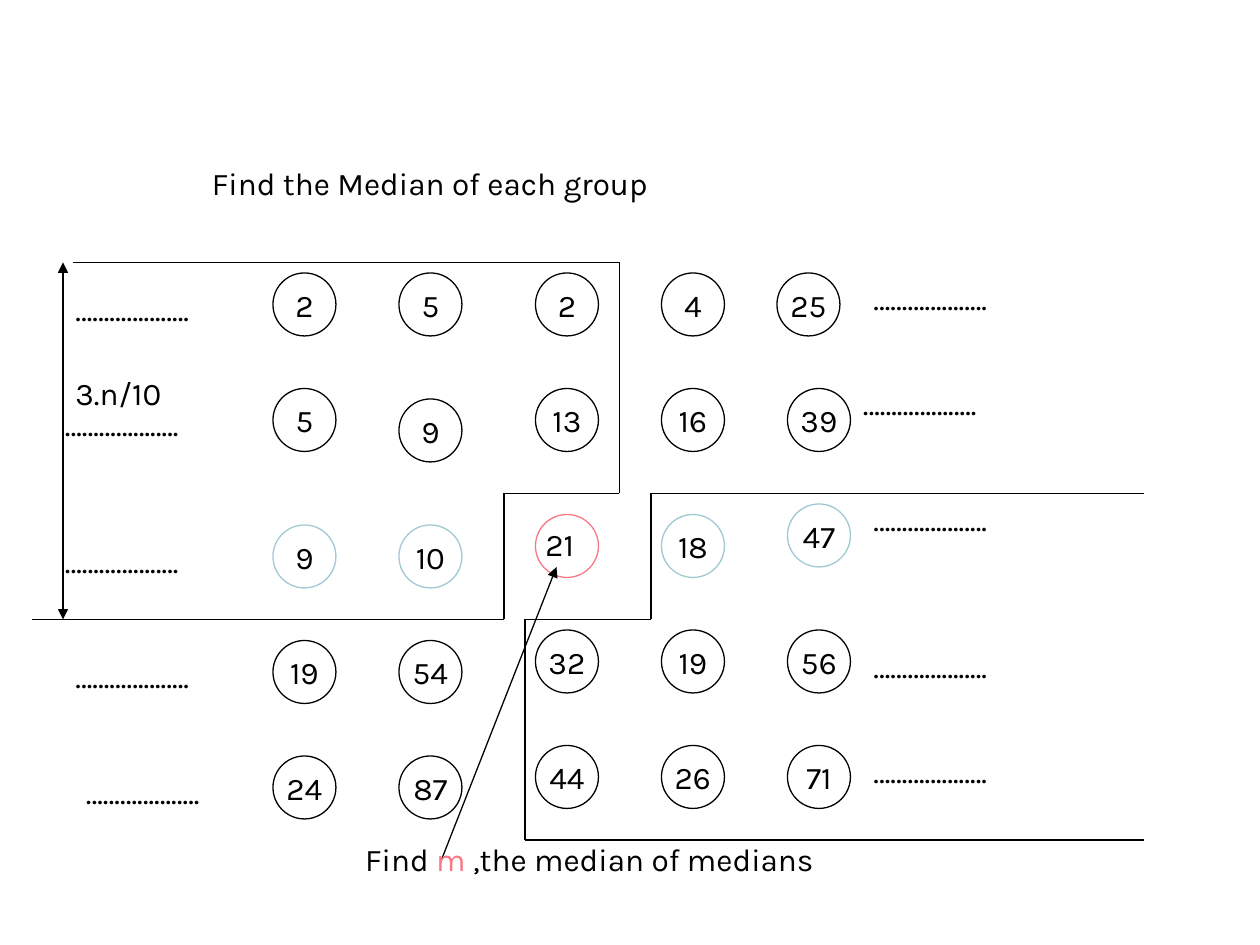
from itertools import pairwise

from lxml.etree import SubElement
from pptx import Presentation
from pptx.dml.color import RGBColor
from pptx.enum.shapes import MSO_CONNECTOR, MSO_SHAPE
from pptx.enum.text import MSO_ANCHOR as Anchor, MSO_AUTO_SIZE as AutoSize, PP_ALIGN as Align
from pptx.oxml.ns import qn
from pptx.util import Pt

BLACK = RGBColor(0x00, 0x00, 0x00)
WHITE = RGBColor(0xFF, 0xFF, 0xFF)
MEDIAN_BLUE = RGBColor(0x9F, 0xCA, 0xD3)
MEDIAN_PINK = RGBColor(0xFA, 0x78, 0x84)
FONT = "Karla"
TEXT_SIZE = 18
LINE_WIDTH = 0.75
CIRCLE_SIZE = 36
TEXT_HEIGHT = 28.8
ELLIPSIS = "………………..", 114

MEDIAN_ROW = 2
# Each group: left edge, tops and values, relative to the grid of groups.
GROUPS = [
    (0, (0, 66, 144, 210, 276), ("2", "5", "9", "19", "24")),
    (72, (0, 72, 144, 210, 276), ("5", "9", "10", "54", "87")),
    (150, (0, 66, 138, 204, 270), ("2", "13", "", "32", "44")),
    (222, (0, 66, 138, 204, 270), ("4", "16", "18", "19", "26")),
    (294, (0, 66, 132, 204, 270), ("25", "39", "47", "56", "71")),
]
FIRST_OF_LAST_GROUP_SHIFT = -6

LEFT_ELLIPSES = [(6, 0), (0, 66), (0, 144), (6, 210), (12, 276)]
RIGHT_ELLIPSES = [(6, 0), (0, 60), (6, 126), (6, 210), (6, 270)]
SMALLER_OUTLINE = [(0, 204), (270, 204), (270, 132), (336, 132), (336, 0), (24, 0)]
LARGER_OUTLINE = [(354, 198), (0, 198), (0, 72), (72, 72), (72, 0), (354, 0)]


def style_font(font, color=BLACK):
    font.name = FONT
    font.size = Pt(TEXT_SIZE)
    font.color.rgb = color


def add_text(slide, left, top, width, *runs, wrap=True):
    """Add one line of text; each run is a (text, color) pair."""
    box = slide.shapes.add_textbox(Pt(left), Pt(top), Pt(width), Pt(TEXT_HEIGHT))
    frame = box.text_frame
    frame.word_wrap = wrap
    frame.auto_size = AutoSize.SHAPE_TO_FIT_TEXT
    paragraph = frame.paragraphs[0]
    style_font(paragraph.font)
    for text, color in runs:
        run = paragraph.add_run()
        run.text = text
        style_font(run.font, color)


def add_circle(slide, left, top, value, line_color):
    circle = slide.shapes.add_shape(
        MSO_SHAPE.OVAL, Pt(left), Pt(top), Pt(CIRCLE_SIZE), Pt(CIRCLE_SIZE))
    circle.shadow.inherit = False
    circle.fill.solid()
    circle.fill.fore_color.rgb = WHITE
    circle.line.color.rgb = line_color
    circle.line.width = Pt(LINE_WIDTH)
    if value:
        frame = circle.text_frame
        frame.word_wrap = False
        frame.vertical_anchor = Anchor.MIDDLE
        paragraph = frame.paragraphs[0]
        paragraph.text = value
        paragraph.alignment = Align.CENTER
        style_font(paragraph.font)


def add_line(slide, start, end, arrowheads=()):
    """Add a straight line; arrowheads lists headEnd (start) and tailEnd (end)."""
    line = slide.shapes.add_connector(
        MSO_CONNECTOR.STRAIGHT, *(Pt(value) for value in (*start, *end)))
    line.line.color.rgb = BLACK
    line.line.width = Pt(LINE_WIDTH)
    properties = line.line._get_or_add_ln()
    for arrowhead in arrowheads:
        SubElement(properties, qn(f"a:{arrowhead}"), type="triangle")
    SubElement(line._element.spPr, qn("a:effectLst"))


def add_outline(slide, left, top, corners):
    points = [(left + x, top + y) for x, y in corners]
    for start, end in pairwise(points):
        add_line(slide, start, end)


def add_groups(slide, left, top):
    """Draw one column of circles per group, with the medians coloured."""
    for group, (group_left, tops, values) in enumerate(GROUPS):
        for row, (circle_top, value) in enumerate(zip(tops, values)):
            color = BLACK
            if row == MEDIAN_ROW:
                color = MEDIAN_BLUE if value else MEDIAN_PINK
            is_shifted = row == 0 and group == len(GROUPS) - 1
            shift = FIRST_OF_LAST_GROUP_SHIFT if is_shifted else 0
            add_circle(slide, left + group_left + shift, top + circle_top, value, color)


def add_ellipses(slide, left, top, offsets):
    text, width = ELLIPSIS
    for x, y in offsets:
        add_text(slide, left + x, top + y, width, (text, BLACK))


def add_median_of_medians(slide, left, top):
    """Label the central median and point to it from the caption."""
    add_line(slide, (left + 116.4, top + 27.4), (left + 50.4, top + 195.4), ["headEnd"])
    add_text(slide, left, top + 180, 276.5, ("Find ", BLACK), ("m", MEDIAN_PINK),
             (" ,the median of medians", BLACK), wrap=False)
    add_text(slide, left + 103, top, 34.6, ("21", BLACK), wrap=False)


def add_height_marker(slide, left, top, height):
    add_line(slide, (left, top), (left, top + height), ["headEnd", "tailEnd"])
    add_text(slide, left, top + 60, 72, ("3.n/10", BLACK))


def main():
    presentation = Presentation()
    presentation.slide_width, presentation.slide_height = Pt(720), Pt(540)
    slide = presentation.slides.add_slide(presentation.slide_layouts[6])

    add_groups(slide, 156, 156)
    add_ellipses(slide, 30, 162, LEFT_ELLIPSES)
    add_ellipses(slide, 486, 156, RIGHT_ELLIPSES)
    add_text(slide, 114, 90, 444, ("Find the Median of each group", BLACK))
    add_outline(slide, 18, 150, SMALLER_OUTLINE)
    add_outline(slide, 300, 282, LARGER_OUTLINE)
    add_median_of_medians(slide, 201.6, 296.6)
    add_height_marker(slide, 36, 150, 204)

    presentation.save("out.pptx")


if __name__ == "__main__":
    main()
